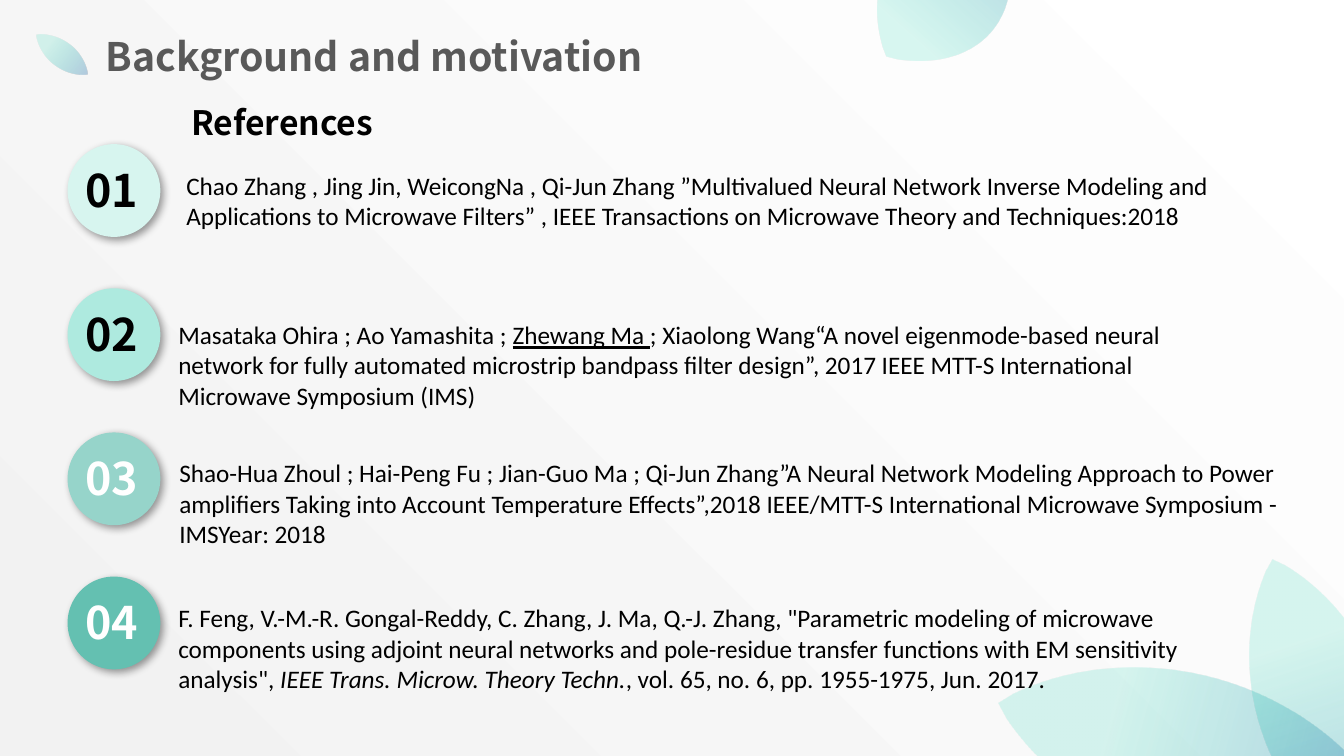
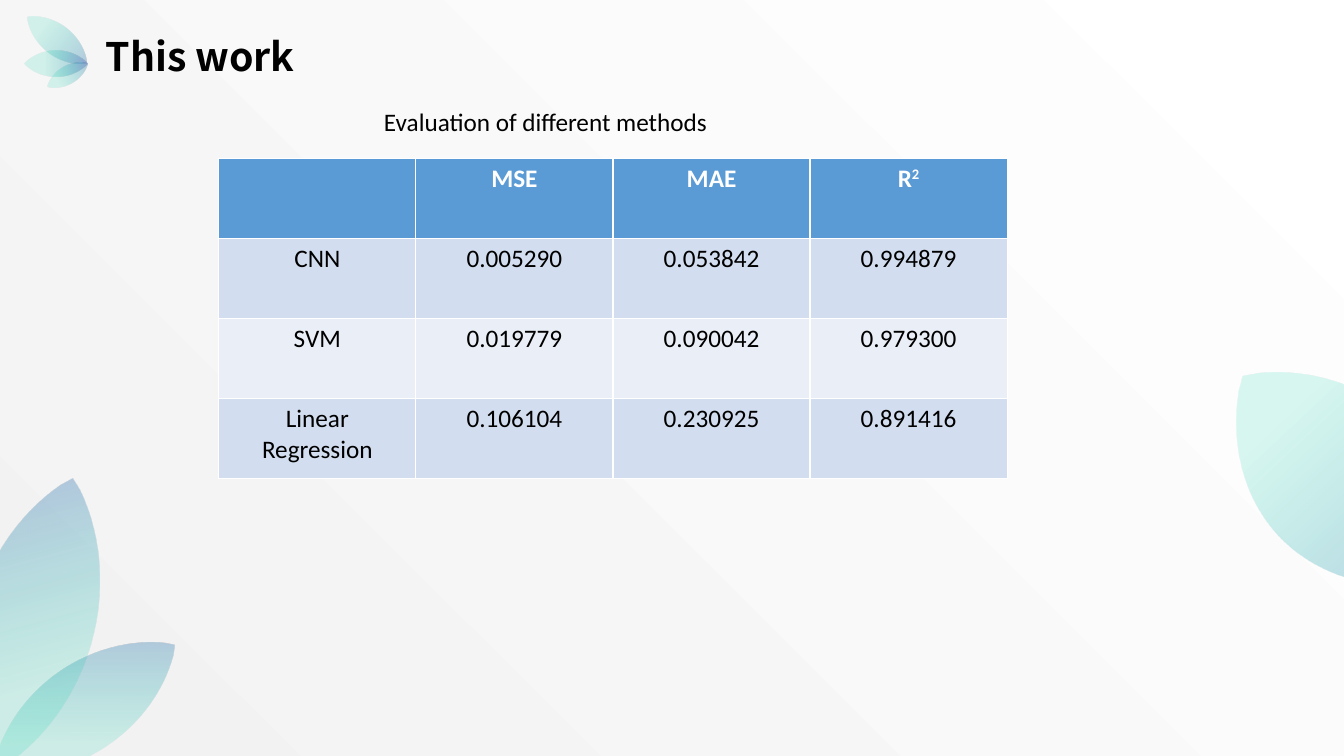
from lxml import etree
from pptx import Presentation
from pptx.dml.color import RGBColor
from pptx.enum import shapes, text
from pptx.oxml import ns
from pptx.util import Inches, Pt

HEAD_FONT, BODY_FONT = "Noto Sans CJK SC", "Calibri"
WHITE = RGBColor(0xFF, 0xFF, 0xFF)
BLACK = RGBColor(0, 0, 0)
GRAY = RGBColor(0x59, 0x59, 0x59)
BACK_GRAY = RGBColor(0xF2, 0xF2, 0xF2)
MINT = RGBColor(0x09, 0xD1, 0xAB)
VIOLET = RGBColor(0x6E, 0x7D, 0xC3)
BADGE_FILLS = [RGBColor(0xD7, 0xF5, 0xEF), RGBColor(0xAE, 0xEA, 0xDF),
               RGBColor(0x96, 0xD4, 0xCA), RGBColor(0x64, 0xC0, 0xB1)]
HEADER_BLUE = RGBColor(0x5B, 0x9B, 0xD5)
BAND_FILLS = [RGBColor(0xEA, 0xEF, 0xF7), RGBColor(0xD2, 0xDE, 0xEF)]

LEAF_CORNERS = [(0.5, 0), (0.58, 0.03), (1, 0.5), (0.58, 0.97),
                (0.5, 1), (0.42, 0.97), (0, 0.5), (0.42, 0.03)]
LEAF_CONTROLS = {2: [(0.84, 0.15), (1, 0.32)], 3: [(1, 0.68), (0.84, 0.85)],
                 6: [(0.16, 0.85), (0, 0.68)], 7: [(0, 0.32), (0.16, 0.15)]}

REFERENCE_LEAVES = [
    (11.04, 5.49, 1.6, 4.02, 285.2),
    (12.48, 5.47, 1.26, 3.15, 341.9),
    (8.75, -0.94, 1.22, 1.71, 221.7),
    (0.49, 0.23, 0.25, 0.63, 307.6),
]
RESULT_LEAVES = [
    (0.42, 0.03, 0.3, 0.74, 307.6),
    (0.43, 0.32, 0.25, 0.62, 270),
    (0.58, 0.52, 0.18, 0.45, 239.4),
    (0.4, 5.93, 0.87, 2.18, 235.2, 325),
    (-0.26, 4.7, 1.19, 2.99, 194.9, 300),
    (12.46, 3.35, 1.65, 2.8, 316.8),
]

REFERENCES = [
    ((1.75, 1.64, 10.53, 1.01), [
        ("Chao Zhang , Jing Jin, WeicongNa , Qi-Jun Zhang ”Multivalued Neural "
         "Network Inverse Modeling and Applications to Microwave Filters” , "
         "IEEE Transactions on Microwave Theory and Techniques:2018", "")]),
    ((1.67, 3.12, 10.43, 1.31), [
        ("Masataka Ohira ; Ao Yamashita ; ", ""),
        ("Zhewang Ma ", "underline"),
        ("; Xiaolong Wang“A novel eigenmode-based neural network for fully "
         "automated microstrip bandpass filter design”, 2017 IEEE MTT-S "
         "International Microwave Symposium (IMS)", "")]),
    ((1.68, 4.49, 11.54, 1.01), [
        ("Shao-Hua Zhoul ; Hai-Peng Fu ; Jian-Guo Ma ; Qi-Jun Zhang”A Neural "
         "Network Modeling Approach to Power amplifiers Taking into Account "
         "Temperature Effects”,2018 IEEE/MTT-S International Microwave "
         "Symposium - IMSYear: 2018", "")]),
    ((1.67, 5.93, 10.26, 1.01), [
        ("F. Feng, V.-M.-R. Gongal-Reddy, C. Zhang, J. Ma, Q.-J. Zhang, "
         "\"Parametric modeling of microwave components using adjoint neural "
         "networks and pole-residue transfer functions with EM sensitivity "
         "analysis\", ", ""),
        ("IEEE Trans. Microw. Theory Techn.", "italic"),
        (", vol. 65, no. 6, pp. 1955-1975, Jun. 2017.", "")]),
]

RESULTS = [
    ["", "MSE", "MAE", "R2"],
    ["CNN", "0.005290", "0.053842", "0.994879"],
    ["SVM", "0.019779", "0.090042", "0.979300"],
    ["Linear Regression", "0.106104", "0.230925", "0.891416"],
]


def add_run(p, words, size=18, color=BLACK, name=BODY_FONT, bold=False, style=""):
    """Append one formatted run to a paragraph."""
    r = p.add_run()
    r.text = words
    f = r.font
    f.size, f.name, f.bold = Pt(size), name, bold
    f.color.rgb = color
    if style == "underline":
        f.underline = True
    elif style == "italic":
        f.italic = True
    elif style == "superscript":
        r._r.get_or_add_rPr().set("baseline", "30000")


def add_text(s, box, anchor=text.MSO_ANCHOR.TOP):
    """Add a wrapping text box and return its first paragraph."""
    tf = s.shapes.add_textbox(*map(Inches, box)).text_frame
    tf.word_wrap = True
    tf.vertical_anchor = anchor
    return tf.paragraphs[0]


def bend_sides(sp):
    """Turn the long sides of a leaf outline into cubic curves."""
    lines = list(sp._element.spPr.iter(ns.qn("a:lnTo")))
    for corner, controls in LEAF_CONTROLS.items():
        line = lines[corner - 1]
        line.tag = ns.qn("a:cubicBezTo")
        for i, (x, y) in enumerate(controls):
            pt = etree.Element(ns.qn("a:pt"), x=str(round(x * sp.width)),
                               y=str(round(y * sp.height)))
            line.insert(i, pt)


def add_leaf(s, left, top, width, height, angle, shade=270):
    """Draw a translucent gradient leaf in its box, then turn it."""
    points = [(Inches(left + x * width), Inches(top + y * height))
              for x, y in LEAF_CORNERS]
    builder = s.shapes.build_freeform(*points[0])
    builder.add_line_segments(points[1:], close=True)
    sp = builder.convert_to_shape()
    bend_sides(sp)
    sp.rotation = angle
    sp.shadow.inherit = False
    sp.line.fill.background()
    sp.fill.gradient()
    sp.fill.gradient_angle = shade
    stops = zip(sp.fill.gradient_stops, (0.31, 1), (MINT, VIOLET))
    for stop, position, color in stops:
        stop.position, stop.color.rgb = position, color
    colors = sp._element.spPr.iter(ns.qn("a:srgbClr"))
    for color, alpha in zip(list(colors), (15000, 50000)):
        etree.SubElement(color, ns.qn("a:alpha")).set("val", str(alpha))


def add_slide(prs, title, color, leaves):
    """Add a slide with its leaves and formatted title."""
    s = prs.slides.add_slide(prs.slide_layouts[5])
    for leaf in leaves:
        add_leaf(s, *leaf)
    sp = s.shapes.title
    sp.left, sp.top, sp.width, sp.height = map(Inches, (0.95, 0.27, 5.88, 0.57))
    tf = sp.text_frame
    tf.auto_size = text.MSO_AUTO_SIZE.NONE
    tf.vertical_anchor = text.MSO_ANCHOR.MIDDLE
    p = tf.paragraphs[0]
    p.alignment = text.PP_ALIGN.LEFT
    add_run(p, title, 28, color, HEAD_FONT, True)
    return s


def add_badge(s, left, top, size, label, fill, color):
    """Draw a numbered circle with a soft shadow."""
    sp = s.shapes.add_shape(shapes.MSO_SHAPE.OVAL, Inches(left), Inches(top),
                            Inches(size), Inches(size))
    sp.fill.solid()
    sp.fill.fore_color.rgb = fill
    sp.line.fill.background()
    sp.shadow.inherit = False
    effects = sp._element.spPr.find(ns.qn("a:effectLst"))
    shadow = etree.SubElement(effects, ns.qn("a:outerShdw"), blurRad=str(Pt(6)),
                              dist=str(Pt(3)), dir="2700000", algn="tl")
    tint = etree.SubElement(shadow, ns.qn("a:srgbClr"), val=str(BLACK))
    etree.SubElement(tint, ns.qn("a:alpha"), val="40000")
    tf = sp.text_frame
    tf.word_wrap = False
    tf.margin_left = tf.margin_top = 0
    tf.margin_right, tf.margin_bottom = Inches(0.04), Inches(0.02)
    tf.vertical_anchor = text.MSO_ANCHOR.MIDDLE
    p = tf.paragraphs[0]
    p.alignment = text.PP_ALIGN.CENTER
    add_run(p, label, 32, color, HEAD_FONT, True)


def add_results_table(s, left, top, width, height):
    """Add the table of scores, one row per method."""
    table = s.shapes.add_table(len(RESULTS), len(RESULTS[0]),
                               *map(Inches, (left, top, width, height))).table
    for i, row in enumerate(RESULTS):
        header = i == 0
        for j, words in enumerate(row):
            cell = table.cell(i, j)
            cell.fill.solid()
            cell.fill.fore_color.rgb = HEADER_BLUE if header else BAND_FILLS[i % 2]
            p = cell.text_frame.paragraphs[0]
            p.alignment = text.PP_ALIGN.CENTER
            parts = [("R", ""), ("2", "superscript")] if words == "R2" else [(words, "")]
            for part, style in parts:
                if part:
                    add_run(p, part, color=WHITE if header else BLACK,
                            bold=header, style=style)


def build_references(prs):
    """Build the slide of numbered references."""
    s = add_slide(prs, "Background and motivation", GRAY, REFERENCE_LEAVES)
    p = add_text(s, (1.8, 0.96, 4.17, 0.5), text.MSO_ANCHOR.MIDDLE)
    add_run(p, "References", 24, BLACK, HEAD_FONT, True)
    for i, (box, parts) in enumerate(REFERENCES):
        add_badge(s, 0.67, 1.43 + i * 1.43, 0.92, f"{i + 1:02d}",
                  BADGE_FILLS[i], BLACK if i < 2 else WHITE)
        p = add_text(s, box)
        for words, style in parts:
            add_run(p, words, style=style)


def build_results(prs):
    """Build the slide that compares the methods."""
    s = add_slide(prs, "This work", BLACK, RESULT_LEAVES)
    add_results_table(s, 2.17, 1.57, 7.82, 3.18)
    add_run(add_text(s, (3.71, 1.01, 7.31, 0.4)), "Evaluation of different methods")


def main():
    """Build and save the presentation."""
    prs = Presentation()
    prs.slide_width, prs.slide_height = Inches(13.33), Inches(7.5)
    fill = prs.slide_master.background.fill
    fill.gradient()
    fill.gradient_angle = 225
    for stop, position, color in zip(fill.gradient_stops, (0, 1), (WHITE, BACK_GRAY)):
        stop.position, stop.color.rgb = position, color
    build_references(prs)
    build_results(prs)
    prs.save("out.pptx")


if __name__ == "__main__":
    main()
